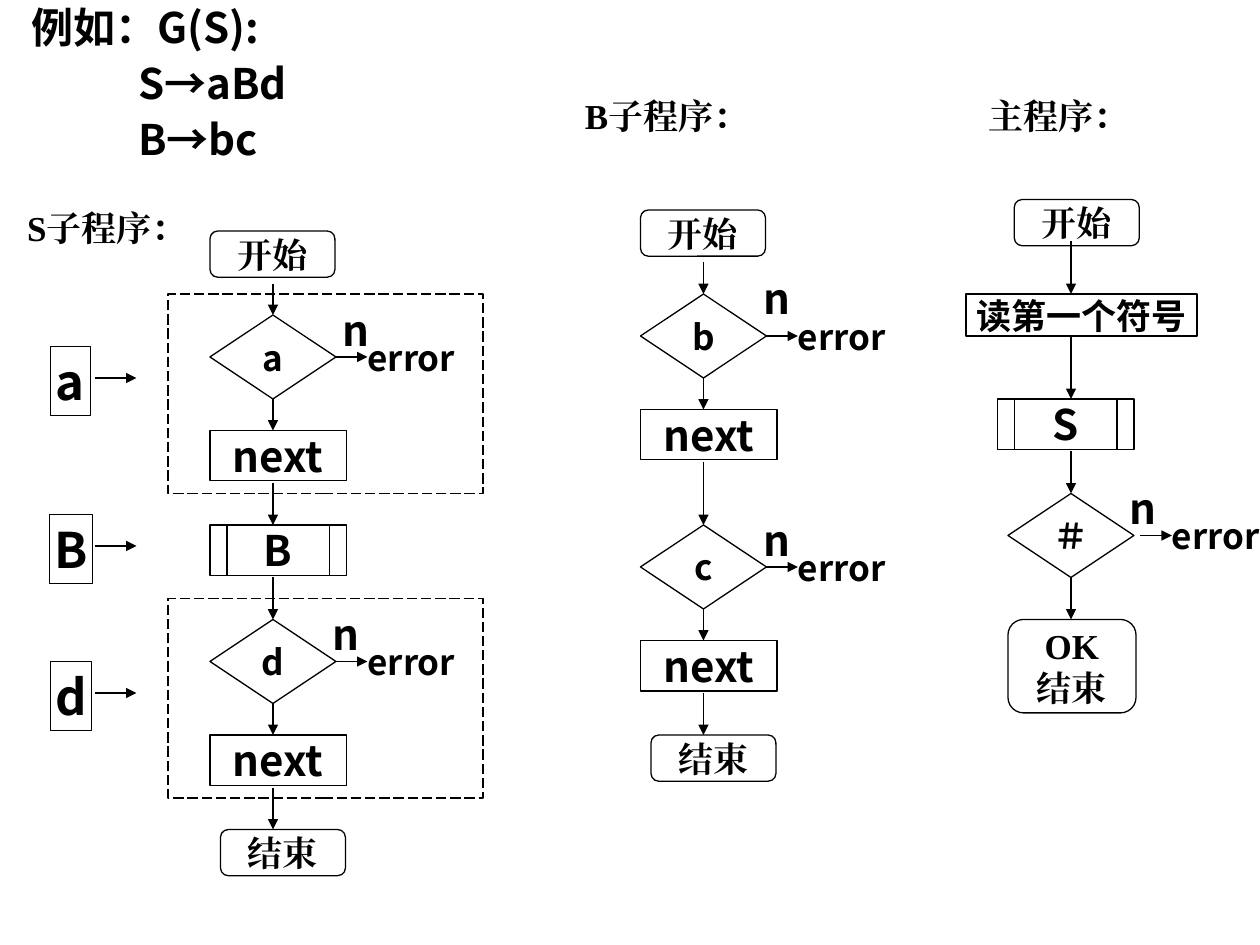
from lxml.etree import SubElement
from pptx import Presentation
from pptx.dml.color import RGBColor
from pptx.enum.dml import MSO_LINE
from pptx.enum.shapes import MSO_CONNECTOR, MSO_SHAPE
from pptx.enum.text import MSO_ANCHOR, PP_ALIGN
from pptx.oxml.ns import qn
from pptx.util import Cm, Pt

BLACK = RGBColor(0, 0, 0)
SANS = "Noto Sans CJK SC"
SERIF = "Times New Roman"
GRID = 2.54 / 12  # the chart sits on a grid of twelve steps to the inch


def grid(*steps):
    return [Cm(step * GRID) for step in steps]


class FlowSlide:
    """Draws flowchart parts; all positions are in grid steps."""

    def __init__(self, slide, ink=BLACK, weight=0.75):
        self.slide, self.ink, self.weight = slide, ink, weight

    def style_paragraph(self, paragraph, size, face):
        font = paragraph.font
        font.size, font.bold, font.name = Pt(size), True, face
        font.color.rgb = self.ink
        defaults = paragraph._p.pPr.find(qn("a:defRPr"))
        east_asian = SubElement(defaults, qn("a:ea"))
        east_asian.set("typeface", face)

    def set_text(self, shape, text, size, face, align, wrap=False, inset=0):
        frame = shape.text_frame
        frame.word_wrap = wrap
        frame.vertical_anchor = MSO_ANCHOR.MIDDLE
        frame.margin_left = frame.margin_right = Cm(inset)
        frame.margin_top = frame.margin_bottom = Cm(inset)
        frame.text = text
        for paragraph in frame.paragraphs:
            paragraph.alignment = align
            self.style_paragraph(paragraph, size, face)

    def outline(self, kind, x, y, width, height):
        shape = self.slide.shapes.add_shape(kind, *grid(x, y, width, height))
        shape.shadow.inherit = False
        shape.fill.background()
        shape.line.color.rgb = self.ink
        shape.line.width = Pt(self.weight)
        return shape

    def node(self, kind, text, x, y, width, height, size=20, face=SANS):
        shape = self.outline(kind, x, y, width, height)
        self.set_text(shape, text, size, face, PP_ALIGN.CENTER, wrap=True)

    def terminal(self, text, x, y, width=11.9, height=4.4):
        self.node(MSO_SHAPE.FLOWCHART_ALTERNATE_PROCESS, text, x, y,
                  width, height, face=SERIF)

    def next_step(self, x, y):
        self.node(MSO_SHAPE.FLOWCHART_PROCESS, "next", x, y, 13, 4.8, size=24)

    def subroutine(self, text, x, y):
        self.node(MSO_SHAPE.FLOWCHART_PREDEFINED_PROCESS, text, x, y,
                  13, 4.8, size=24)

    def decision(self, symbol, x, y, no_x, no_y, gap=0):
        """A test whose "n" branch leads right to an error."""
        self.node(MSO_SHAPE.FLOWCHART_DECISION, symbol, x, y, 12, 8)
        exit_x = x + 12 + gap
        self.arrow(exit_x, y + 4, exit_x + 3, y + 4)
        self.label("error", exit_x + 3, y + 2, 8.6)
        self.label("n", no_x, no_y, 2.6, height=4.8, size=24)

    def dashed_frame(self, x, y):
        shape = self.outline(MSO_SHAPE.RECTANGLE, x, y, 30, 19)
        shape.line.dash_style = MSO_LINE.LONG_DASH

    def symbol_box(self, symbol, x, y, width):
        shape = self.outline(MSO_SHAPE.RECTANGLE, x, y, width, 6.6)
        self.set_text(shape, symbol, 28, SANS, PP_ALIGN.LEFT, inset=0.1)

    def label(self, text, x, y, width, height=4, size=20, face=SANS):
        box = self.slide.shapes.add_textbox(*grid(x, y, width, height))
        self.set_text(box, text, size, face, PP_ALIGN.LEFT)

    def arrow(self, x1, y1, x2, y2):
        connector = self.slide.shapes.add_connector(
            MSO_CONNECTOR.STRAIGHT, *grid(x1, y1, x2, y2))
        connector.line.color.rgb = self.ink
        connector.line.width = Pt(self.weight)
        properties = connector._element.spPr
        head = SubElement(properties.find(qn("a:ln")), qn("a:tailEnd"))
        head.set("type", "triangle")
        SubElement(properties, qn("a:effectLst"))

    def flow(self, x, *spans):
        for top, bottom in spans:
            self.arrow(x, top, x, bottom)

    def grammar(self, lines):
        box = self.slide.shapes.add_textbox(*grid(0, 0, 114, 17))
        frame = box.text_frame
        frame.word_wrap = True
        frame.text = "\n".join(text for text, _ in lines)
        for number, (paragraph, (_, indent)) in enumerate(
                zip(frame.paragraphs, lines)):
            paragraph._p.get_or_add_pPr().set("marL", str(Cm(indent)))
            paragraph.line_spacing = Pt(26)
            if number:
                paragraph.space_before = Pt(6)
            self.style_paragraph(paragraph, 24, SANS)


def main():
    deck = Presentation()
    deck.slide_width, deck.slide_height = Cm(25.4), Cm(19.05)
    chart = FlowSlide(deck.slides.add_slide(deck.slide_layouts[6]))

    # Grammar
    chart.grammar([("例如：G(S):", 0.38), ("S→aBd", 2.54), ("B→bc", 2.54)])

    # Subroutine S
    chart.label("S子程序：", 2.6, 19.7, 16.1, face=SERIF)
    chart.terminal("开始", 20, 22)
    chart.decision("a", 20, 30, no_x=32.6, no_y=29)
    chart.next_step(20, 41)
    chart.subroutine("B", 20, 50)
    chart.decision("d", 20, 59, no_x=31.7, no_y=58)
    chart.next_step(20, 70)
    chart.terminal("结束", 21, 79)
    chart.flow(26, (27, 30), (38, 41), (46, 50), (55, 59), (67, 70), (75, 79))
    for top in (28, 57):
        chart.dashed_frame(16, top)

    # Symbols of the rule for S, each pointing at its part
    for symbol, x, y, width, arrow_y in (("a", 4.8, 33, 3.8, 36),
                                         ("B", 4.7, 49, 4.1, 52),
                                         ("d", 4.8, 63, 3.9, 66)):
        chart.symbol_box(symbol, x, y, width)
        chart.arrow(9, arrow_y, 13, arrow_y)

    # Subroutine B
    chart.label("B子程序：", 55.7, 9, 16.4, face=SERIF)
    chart.terminal("开始", 61, 20)
    chart.decision("b", 61, 28, no_x=72.7, no_y=26)
    chart.next_step(61, 39)
    chart.decision("c", 61, 50, no_x=72.7, no_y=49)
    chart.next_step(61, 61)
    chart.terminal("结束", 62, 70)
    chart.flow(67, (25, 28), (36, 39), (44, 50), (58, 61), (66, 70))

    # Main program
    chart.label("主程序：", 94.1, 9, 13.3, face=SERIF)
    chart.terminal("开始", 96.6, 19)
    chart.node(MSO_SHAPE.FLOWCHART_PROCESS, "读第一个符号", 92, 28, 22, 4)
    chart.subroutine("S", 95, 38)
    chart.decision("＃", 96, 47, no_x=107.6, no_y=46, gap=0.6)
    chart.terminal("OK\n结束", 96, 59, 12.2, 8.9)
    chart.flow(102, (23, 28), (32, 38), (43, 47), (55, 59))

    deck.save("out.pptx")


if __name__ == "__main__":
    main()
